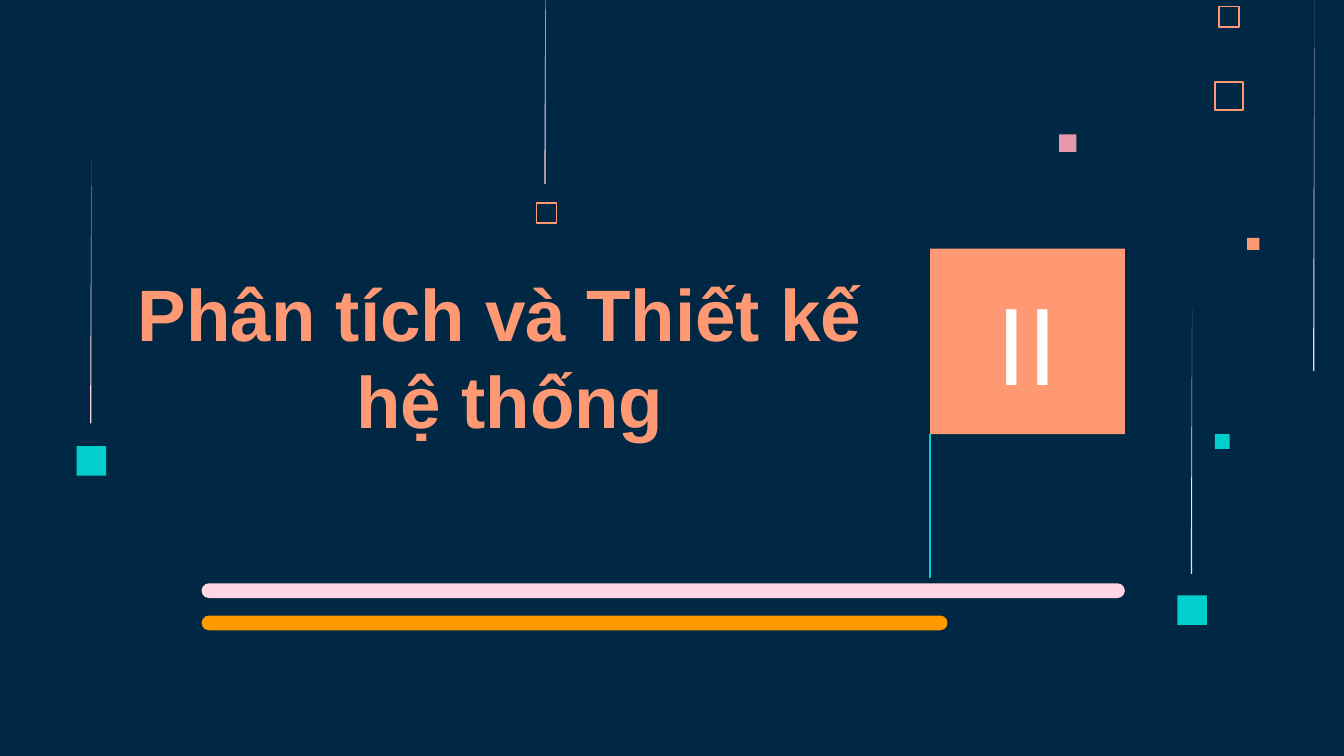
from pptx import Presentation
from pptx.dml.color import RGBColor
from pptx.enum.shapes import MSO_CONNECTOR as Connector, MSO_SHAPE as Shape
from pptx.enum.text import MSO_ANCHOR as Anchor, PP_ALIGN as Align
from pptx.oxml.ns import qn
from pptx.util import Inches, Pt
from lxml.etree import SubElement

WIDTH = 10
HEIGHT = WIDTH * 9 / 16
NAVY, CORAL, TEAL, ROSE = "002845", "FF9973", "00CFCC", "E898AC"
BLUSH, ORANGE, WHITE = "FFD6E1", "FF9900", "FFFFFF"

TITLE = ["Phân tích và Thiết kế ", "hệ thống"]
NUMBER = "II"
FLAG = (6.92, 1.85, 1.45, 1.38)
POLE_FOOT = 4.3

SOLID_SQUARES = [
    (7.88, 1, 0.13, ROSE),
    (9.04, 3.23, 0.11, TEAL),
    (9.28, 1.77, 0.09, CORAL),
    (8.76, 4.43, 0.22, TEAL),
    (0.57, 3.32, 0.22, TEAL),
]
HOLLOW_SQUARES = [(9.04, 0.61, 0.21), (9.07, 0.05, 0.15), (3.99, 1.51, 0.15)]
RAYS = [(4.05, -0.48, 1.85), (9.77, 0, 2.76), (8.86, 2.31, 1.96), (0.67, 1.19, 1.96)]
RAY_WIDTH = 0.01
BAR_LEFT, BAR_HEIGHT = 1.5, 0.11
BARS = [(4.34, 6.87, BLUSH), (4.58, 5.55, ORANGE)]


def rgb(code):
    return RGBColor.from_string(code)


def paint(shape, fill=None, outline=None):
    shape.shadow.inherit = False
    if fill:
        shape.fill.solid()
        shape.fill.fore_color.rgb = rgb(fill)
    else:
        shape.fill.background()
    if outline:
        shape.line.color.rgb = rgb(outline)
        shape.line.width = Pt(0.75)
    else:
        shape.line.fill.background()


def add_box(kind, left, top, width, height, fill=None, outline=None):
    box = shapes.add_shape(kind, *map(Inches, (left, top, width, height)))
    paint(box, fill, outline)
    return box


def add_ray(left, top, length):
    right, bottom = Inches(left + RAY_WIDTH), Inches(top + length)
    outline = shapes.build_freeform(right, Inches(top))
    outline.add_line_segments([(Inches(left), bottom), (right, bottom)], close=True)
    paint(outline.convert_to_shape(), BLUSH)


def write(holder, lines, size, color, anchor, bold=False):
    frame = holder.text_frame
    frame.word_wrap = True
    frame.vertical_anchor = anchor
    frame.margin_left = frame.margin_right = Inches(0.1)
    frame.margin_top = frame.margin_bottom = Inches(0.1)
    frame.text = "\n".join(lines)
    for paragraph in frame.paragraphs:
        paragraph.alignment = Align.CENTER
        font = paragraph.font
        font.name, font.size, font.bold = "Arial", Pt(size), bold
        font.color.rgb = rgb(color)


deck = Presentation()
deck.slide_width, deck.slide_height = Inches(WIDTH), Inches(HEIGHT)
slide = deck.slides.add_slide(deck.slide_layouts[6])
slide.background.fill.solid()
slide.background.fill.fore_color.rgb = rgb(NAVY)
shapes = slide.shapes

for left, top, side, color in SOLID_SQUARES:
    add_box(Shape.RECTANGLE, left, top, side, side, color)
for left, top, side in HOLLOW_SQUARES:
    add_box(Shape.RECTANGLE, left, top, side, side, outline=CORAL)
for ray in RAYS:
    add_ray(*ray)

title = shapes.add_textbox(*map(Inches, (0.11, 2.48, 7.37, 0.92)))
write(title, TITLE, 39, CORAL, Anchor.BOTTOM, bold=True)

for top, length, color in BARS:
    bar = add_box(Shape.ROUNDED_RECTANGLE, BAR_LEFT, top, length, BAR_HEIGHT, color)
    bar.adjustments[0] = 0.5

flag_left, flag_top, _, flag_height = FLAG
pole_ends = (flag_left, flag_top + flag_height, flag_left, POLE_FOOT)
pole = shapes.add_connector(Connector.STRAIGHT, *map(Inches, pole_ends))
pole.line.color.rgb = rgb(TEAL)
pole.line.width = Pt(1.5)
SubElement(pole._element.spPr, qn("a:effectLst"))

flag = add_box(Shape.RECTANGLE, *FLAG, CORAL)
write(flag, [NUMBER], 59, WHITE, Anchor.MIDDLE)

deck.save("out.pptx")
